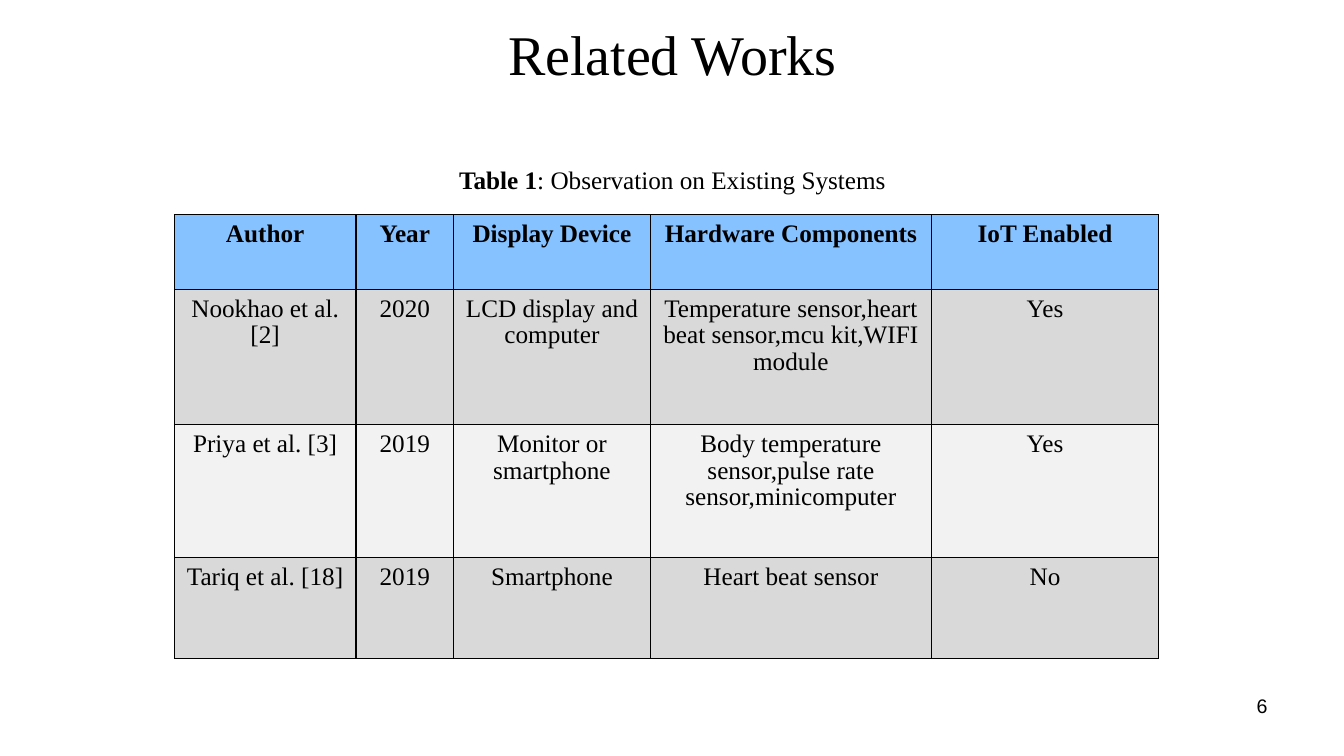
from lxml.etree import SubElement
from pptx import Presentation
from pptx.dml.color import RGBColor
from pptx.enum.text import MSO_ANCHOR, PP_ALIGN
from pptx.oxml.ns import qn
from pptx.util import Inches, Pt

BLACK = RGBColor(0x00, 0x00, 0x00)
HEADER_BLUE = RGBColor(0x85, 0xC2, 0xFF)
DARK_BAND = RGBColor(0xD9, 0xD9, 0xD9)
LIGHT_BAND = RGBColor(0xF2, 0xF2, 0xF2)

SERIF = "Times New Roman"
SANS = "Arial"

COLUMN_WIDTHS = [1.8, 0.97, 1.95, 2.79, 2.25]
ROW_HEIGHTS = [0.74, 1.34, 1.32, 1]
SYSTEMS = [
    ["Author", "Year", "Display Device", "Hardware Components", "IoT Enabled"],
    ["Nookhao et al. [2]", "2020", "LCD display and computer",
     "Temperature sensor,heart beat sensor,mcu kit,WIFI module", "Yes"],
    ["Priya et al. [3]", "2019", "Monitor or smartphone",
     "Body temperature sensor,pulse rate sensor,minicomputer", "Yes"],
    ["Tariq et al. [18]", "2019", "Smartphone", "Heart beat sensor", "No"],
]


class SlideBuilder:
    def __init__(self, page):
        self.page = page

    def add_spans(self, frame, spans, size, font=SERIF, align=PP_ALIGN.CENTER):
        frame.word_wrap = True
        para = frame.paragraphs[0]
        para.alignment = align
        for text, bold in spans:
            span = para.add_run()
            span.text = text
            span.font.name = font
            span.font.size = Pt(size)
            span.font.bold = bold
            span.font.color.rgb = BLACK
        return para

    def title(self, text, left, top, width, height):
        box = self.page.shapes.title
        box.left, box.top = Inches(left), Inches(top)
        box.width, box.height = Inches(width), Inches(height)
        box.text_frame.vertical_anchor = MSO_ANCHOR.MIDDLE
        self.add_spans(box.text_frame, [(text, False)], 40)

    def text(self, spans, left, top, width, height, size, **style):
        box = self.page.shapes.add_textbox(
            Inches(left), Inches(top), Inches(width), Inches(height))
        self.add_spans(box.text_frame, spans, size, **style)

    def border(self, cell):
        properties = cell._tc.get_or_add_tcPr()
        for side in ("a:lnL", "a:lnR", "a:lnT", "a:lnB"):
            line = SubElement(properties, qn(side), w=str(Pt(1)))
            fill = SubElement(line, qn("a:solidFill"))
            SubElement(fill, qn("a:srgbClr"), val=str(BLACK))

    def table(self, rows, left, top, widths, heights):
        table = self.page.shapes.add_table(
            len(rows), len(widths), Inches(left), Inches(top),
            Inches(sum(widths)), Inches(sum(heights))).table
        for column, width in zip(table.columns, widths):
            column.width = Inches(width)
        for index, (row, height) in enumerate(zip(rows, heights)):
            table.rows[index].height = Inches(height)
            is_header = index == 0
            band = DARK_BAND if index % 2 else LIGHT_BAND
            for cell, text in zip(table.rows[index].cells, row):
                self.border(cell)
                cell.fill.solid()
                cell.fill.fore_color.rgb = HEADER_BLUE if is_header else band
                cell.margin_left = cell.margin_right = Inches(0.07)
                cell.margin_top = cell.margin_bottom = Inches(0.07)
                para = self.add_spans(cell.text_frame, [(text, is_header)], 18)
                para.line_spacing = 0.95


def main():
    deck = Presentation()
    deck.slide_width, deck.slide_height = Inches(13.33), Inches(7.5)
    builder = SlideBuilder(deck.slides.add_slide(deck.slide_layouts[5]))
    builder.title("Related Works", 0.67, 0.21, 12, 0.64)
    builder.text([("6", False)], 9.56, 6.83, 3.11, 0.52, 14,
                 font=SANS, align=PP_ALIGN.RIGHT)
    builder.table(SYSTEMS, 1.73, 2.13, COLUMN_WIDTHS, ROW_HEIGHTS)
    builder.text([("Table 1", True), (": Observation on Existing Systems", False)],
                 3.19, 1.58, 6.96, 0.4, 18)
    deck.save("out.pptx")


if __name__ == "__main__":
    main()
